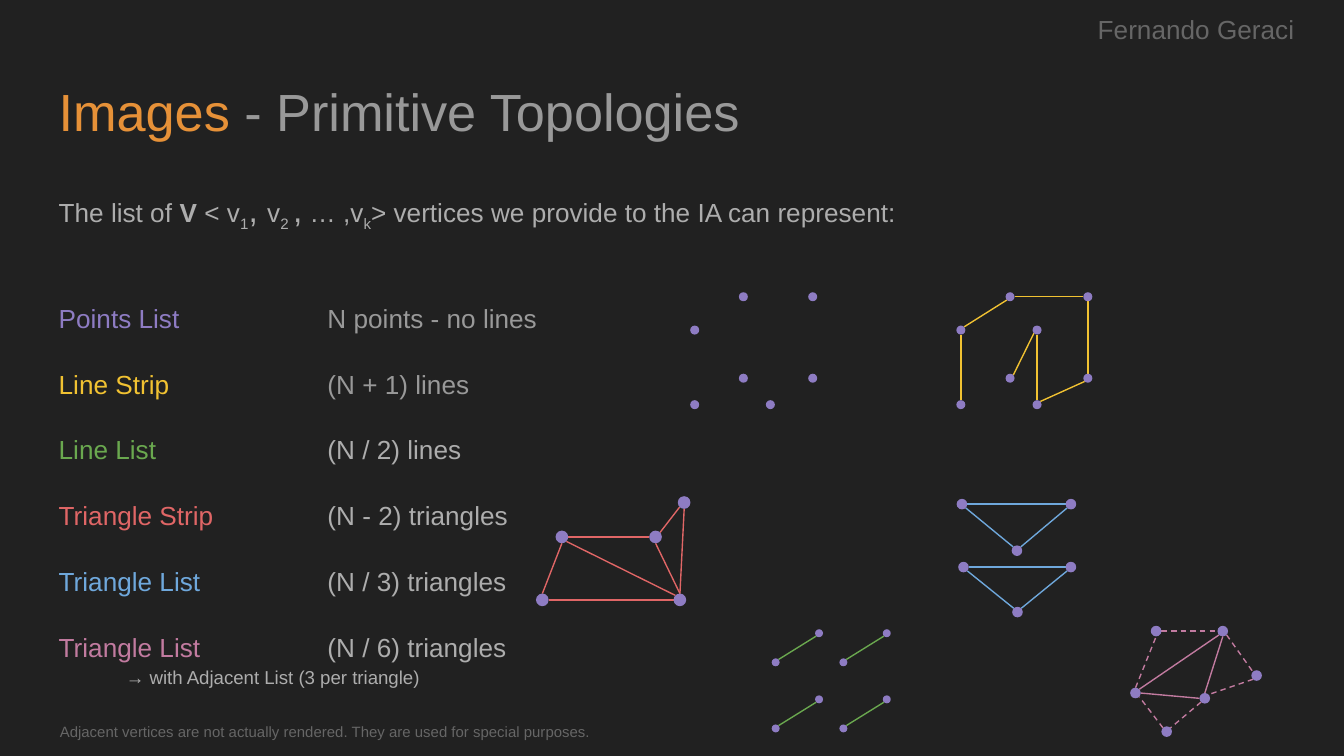
from itertools import combinations, pairwise
from math import atan2, cos, pi, sin

from lxml.etree import SubElement
from pptx import Presentation
from pptx.dml.color import RGBColor
from pptx.enum.dml import MSO_LINE
from pptx.enum.shapes import MSO_CONNECTOR, MSO_SHAPE
from pptx.enum.text import MSO_ANCHOR, MSO_AUTO_SIZE, PP_ALIGN
from pptx.oxml.ns import qn
from pptx.util import Cm, Pt

DARK = RGBColor(0x21, 0x21, 0x21)
LIGHT = RGBColor(0xAD, 0xAD, 0xAD)
GREY = RGBColor(0x99, 0x99, 0x99)
DIM = RGBColor(0x66, 0x66, 0x66)
ORANGE = RGBColor(0xE6, 0x91, 0x38)
PURPLE = RGBColor(0x8E, 0x7C, 0xC3)
YELLOW = RGBColor(0xF1, 0xC2, 0x32)
GREEN = RGBColor(0x6A, 0xA8, 0x4F)
RED = RGBColor(0xE0, 0x66, 0x66)
BLUE = RGBColor(0x6F, 0xA8, 0xDC)
PINK = RGBColor(0xC2, 0x7B, 0xA0)

# Text content
TITLE = [("Images", ORANGE), (" - Primitive Topologies", GREY)]
AUTHOR = "Fernando Geraci"
FOOTNOTE = ("Adjacent vertices are not actually rendered. "
            "They are used for special purposes.")
INTRO = [  # text, size, style
    ("The list of ", 14, ""), ("V ", 14, "bold"), ("< v", 14, ""),
    ("1", 14, "sub"), (", ", 18, ""), ("v", 14, ""), ("2 ", 14, "sub"),
    (",", 18, ""), (" … ,v", 14, ""), ("k", 14, "sub"),
    ("> vertices we provide to the IA can represent: ", 14, ""),
]
TOPOLOGIES = [
    ("Points List", PURPLE, "N points - no lines", GREY),
    ("Line Strip", YELLOW, "(N + 1) lines", GREY),
    ("Line List", GREEN, "(N / 2) lines", LIGHT),
    ("Triangle Strip", RED, "(N - 2) triangles", LIGHT),
    ("Triangle List", BLUE, "(N / 3) triangles", LIGHT),
    ("Triangle List", PINK, "(N / 6) triangles", LIGHT),
]
ADJACENT = "→ with Adjacent List (3 per triangle)"

# Vertices of the figures, in cm
POINTS = [(14.05, 5.61), (15.36, 5.61), (13.13, 6.24), (14.05, 7.15),
          (15.36, 7.15), (13.13, 7.65), (14.56, 7.65)]
LINE_STRIP = [(18.16, 7.65), (18.16, 6.24), (19.09, 5.61), (20.56, 5.61),
              (20.56, 7.15), (19.6, 7.65), (19.6, 6.24), (19.09, 7.15)]
LINE_LIST = [(x + 1.28 * col, y + 1.25 * row)
             for row in range(2) for col in range(2)
             for x, y in ((14.66, 12.52), (15.48, 11.97))]
TRIANGLE_STRIP = [(10.25, 11.34), (10.62, 10.15), (12.85, 11.34),
                  (12.39, 10.15), (12.93, 9.5)]
TRIANGLE_LIST = [(18.18, 9.53), (20.24, 9.53), (19.22, 10.41),
                 (18.21, 10.72), (20.24, 10.72), (19.23, 11.57)]
ADJACENCY = [(21.46, 13.1), (21.85, 11.93), (23.11, 11.93),
             (23.75, 12.77), (22.77, 13.2), (22.05, 13.83)]

# Vertices, dot diameter, line colour, solid edges, dashed edges
FIGURES = [
    (POINTS, 0.17, PURPLE, [], []),
    (LINE_STRIP, 0.17, YELLOW, pairwise(range(8)), []),
    (LINE_LIST, 0.15, GREEN, [(i, i + 1) for i in range(0, 8, 2)], []),
    (TRIANGLE_STRIP, 0.24, RED,
     [(i, i + step) for step in (1, 2) for i in range(5 - step)], []),
    (TRIANGLE_LIST, 0.2, BLUE,
     [*combinations(range(3), 2), *combinations(range(3, 6), 2)], []),
    (ADJACENCY, 0.2, PINK, combinations((0, 2, 4), 2),
     [(i, (i + 1) % 6) for i in range(6)]),
]


def add_run(p, text, size, color, style=""):
    r = p.add_run()
    r.text = text
    r.font.name = "Arial"
    r.font.size = Pt(size)
    r.font.color.rgb = color
    if style == "bold":
        r.font.bold = True
    elif style == "sub":
        r._r.get_or_add_rPr().set("baseline", "-25000")


def format_frame(s, box, anchor=MSO_ANCHOR.TOP):
    s.left, s.top, s.width, s.height = (Cm(v) for v in box)
    tf = s.text_frame
    tf.word_wrap = True
    tf.auto_size = MSO_AUTO_SIZE.NONE
    tf.vertical_anchor = anchor
    tf.margin_left = tf.margin_right = Cm(0.25)
    tf.margin_top = tf.margin_bottom = Cm(0.25)
    return tf


def add_text(box, anchor=MSO_ANCHOR.TOP):
    return format_frame(slide.shapes.add_textbox(0, 0, 0, 0), box, anchor)


def space(p, after=0):
    p.line_spacing = 1.15
    p.space_before = Pt(0)
    p.space_after = Pt(after)


def rim(a, b, radius):
    """Point on the rim of dot a facing b, at the nearest eighth of a turn."""
    angle = round(atan2(b[1] - a[1], b[0] - a[0]) / (pi / 4)) * pi / 4
    return Cm(a[0] + radius * cos(angle)), Cm(a[1] + radius * sin(angle))


def add_edge(group, a, b, radius, color, dashed):
    s = group.shapes.add_connector(
        MSO_CONNECTOR.STRAIGHT, *rim(a, b, radius), *rim(b, a, radius))
    s.line.color.rgb = color
    s.line.width = Pt(0.75)
    if dashed:
        s.line.dash_style = MSO_LINE.DASH
    SubElement(s._element.spPr, qn("a:effectLst"))


def add_dot(group, x, y, size):
    s = group.shapes.add_shape(MSO_SHAPE.OVAL, Cm(x - size / 2),
                               Cm(y - size / 2), Cm(size), Cm(size))
    s.shadow.inherit = False
    s.fill.solid()
    s.fill.fore_color.rgb = PURPLE
    s.line.fill.background()


prs = Presentation()
prs.slide_width, prs.slide_height = Cm(25.4), Cm(14.29)
slide = prs.slides.add_slide(prs.slide_layouts[5])
slide.background.fill.solid()
slide.background.fill.fore_color.rgb = DARK

# Title
p = format_frame(slide.shapes.title, (0.86, 1.24, 23.67, 1.6)).paragraphs[0]
p.alignment = PP_ALIGN.LEFT
for text, color in TITLE:
    add_run(p, text, 28, color)

# Introduction and list of topologies
tf = add_text((0.86, 3.2, 23.67, 10.44))
p = tf.paragraphs[0]
space(p, 35)
for text, size, style in INTRO:
    add_run(p, text, size, LIGHT, style)
for i, (name, color, count, count_color) in enumerate(TOPOLOGIES, 1):
    p = tf.add_paragraph()
    space(p, 16 if i < len(TOPOLOGIES) else 0)
    tabs = SubElement(p._p.get_or_add_pPr(), qn("a:tabLst"))
    SubElement(tabs, qn("a:tab"), pos=str(Cm(5.08)), algn="l")
    add_run(p, name + "\t", 14, color)
    add_run(p, count, 14, count_color)
p = tf.add_paragraph()
space(p)
p._p.get_or_add_pPr().set("indent", str(Cm(1.27)))
add_run(p, ADJACENT, 10, LIGHT)

# Author and footnote
for text, size, box, anchor in (
        (AUTHOR, 14, (19.81, 0, 5.59, 1.17), MSO_ANCHOR.TOP),
        (FOOTNOTE, 8, (0.74, 13.54, 10.82, 0.56), MSO_ANCHOR.MIDDLE)):
    p = add_text(box, anchor).paragraphs[0]
    p.alignment = PP_ALIGN.CENTER
    add_run(p, text, size, DIM)

# Figures
for vertices, size, color, solid, dashed in FIGURES:
    group = slide.shapes.add_group_shape()
    for edges, is_dashed in ((solid, False), (dashed, True)):
        for i, j in edges:
            add_edge(group, vertices[i], vertices[j], size / 2, color, is_dashed)
    for x, y in vertices:
        add_dot(group, x, y, size)

prs.save("out.pptx")
